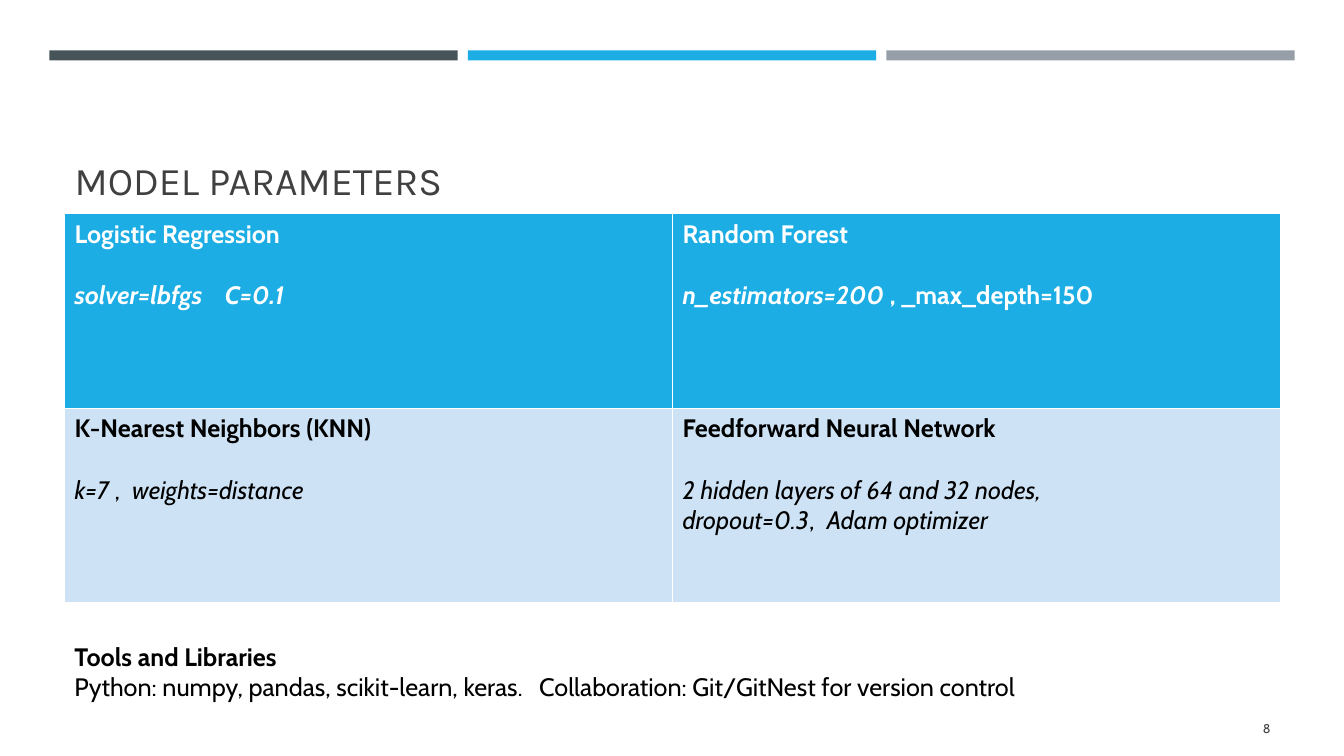
from lxml.etree import SubElement
from pptx import Presentation
from pptx.dml.color import RGBColor
from pptx.enum.shapes import MSO_SHAPE
from pptx.enum.text import MSO_ANCHOR, PP_ALIGN
from pptx.oxml.ns import qn
from pptx.util import Inches, Pt

WIDE, HIGH = 13.33, 7.5
LEFT, SPAN = 0.64, 12.06
BLUE, PALE, WHITE, BLACK, GREY = "1CADE4", "CDE3F5", "FFFFFF", "000000", "404040"
BARS = ["465359", BLUE, "969FA7"]
MODELS = [
    [
        ("Logistic Regression", [([("solver=lbfgs\tC=0.1", True)], 1.49)]),
        ("Random Forest", [([("n_estimators=200", True), (" , _max_depth=150", False)], None)]),
    ],
    [
        ("K-Nearest Neighbors (KNN)", [([("k=7", True), (" ,\t", False), ("weights=distance", True)], 0.57)]),
        ("Feedforward Neural Network", [
            ([("2 hidden layers of 64 and 32 nodes,", True)], None),
            ([("dropout=0.3", True), (",\t", False), ("Adam optimizer", True)], 1.43),
        ]),
    ],
]


def color(code):
    return RGBColor.from_string(code)


def style(para, code, size=18, face="Cabin", bold=False):
    font = para.font
    font.name, font.size, font.bold = face, Pt(size), bold
    font.color.rgb = color(code)


def set_tab(para, stop):
    props = para._p.get_or_add_pPr()
    tabs = SubElement(props, qn("a:tabLst"))
    SubElement(tabs, qn("a:tab"), pos=str(Inches(stop)), algn="l")
    base = props.find(qn("a:defRPr"))
    if base is not None:
        props.append(base)


def text_box(slide, box):
    frame = slide.shapes.add_textbox(*map(Inches, box)).text_frame
    frame.word_wrap = True
    return frame


def add_bars(slide, box, gap=0.1):
    left, top, width, height = box
    each = (width - gap * (len(BARS) - 1)) / len(BARS)
    for col, code in enumerate(BARS):
        place = (left + col * (each + gap), top, each, height)
        bar = slide.shapes.add_shape(MSO_SHAPE.RECTANGLE, *map(Inches, place))
        bar.shadow.inherit = False
        bar.fill.solid()
        bar.fill.fore_color.rgb = color(code)
        bar.line.fill.background()


def add_title(slide, box):
    title = slide.shapes.title
    title.left, title.top, title.width, title.height = map(Inches, box)
    frame = title.text_frame
    frame.text = "MODEL PARAMETERS"
    frame.vertical_anchor = MSO_ANCHOR.BOTTOM
    para = frame.paragraphs[0]
    para.alignment = PP_ALIGN.LEFT
    style(para, GREY, 28, "Karla")


def fill_cell(cell, model, head):
    name, lines = model
    code = WHITE if head else BLACK
    cell.fill.solid()
    cell.fill.fore_color.rgb = color(BLUE if head else PALE)
    frame = cell.text_frame
    frame.text = name
    style(frame.paragraphs[0], code, bold=True)
    for row, (parts, stop) in enumerate(lines):
        para = frame.add_paragraph()
        style(para, code, bold=head)
        if row == 0:
            para.space_before = Pt(22)
        if stop:
            set_tab(para, stop)
        for words, slant in parts:
            run = para.add_run()
            run.text = words
            run.font.italic = slant


def add_models(slide, box):
    rows, cols = len(MODELS), len(MODELS[0])
    table = slide.shapes.add_table(rows, cols, *map(Inches, box)).table
    for row, models in enumerate(MODELS):
        for col, model in enumerate(models):
            fill_cell(table.cell(row, col), model, row == 0)


def add_tools(slide, box):
    frame = text_box(slide, box)
    frame.text = "Tools and Libraries"
    style(frame.paragraphs[0], BLACK, bold=True)
    para = frame.add_paragraph()
    para.text = "Python: numpy, pandas, scikit-learn, keras.\tCollaboration: Git/GitNest for version control"
    style(para, BLACK)
    set_tab(para, 4.61)


def add_page(slide, box):
    frame = text_box(slide, box)
    frame.text = "8"
    frame.vertical_anchor = MSO_ANCHOR.MIDDLE
    para = frame.paragraphs[0]
    para.alignment = PP_ALIGN.RIGHT
    style(para, GREY, 9)


def main():
    deck = Presentation()
    deck.slide_width, deck.slide_height = Inches(WIDE), Inches(HIGH)
    slide = deck.slides.add_slide(deck.slide_layouts[5])
    add_bars(slide, (0.49, 0.5, 12.35, 0.1))
    add_title(slide, (LEFT, 0.77, SPAN, 1.3))
    add_models(slide, (LEFT, 2.12, SPAN, 3.86))
    add_tools(slide, (LEFT, 6.31, SPAN, 0.71))
    add_page(slide, (LEFT + SPAN - 1.15, 7.03, 1.15, 0.4))
    deck.save("out.pptx")


if __name__ == "__main__":
    main()
